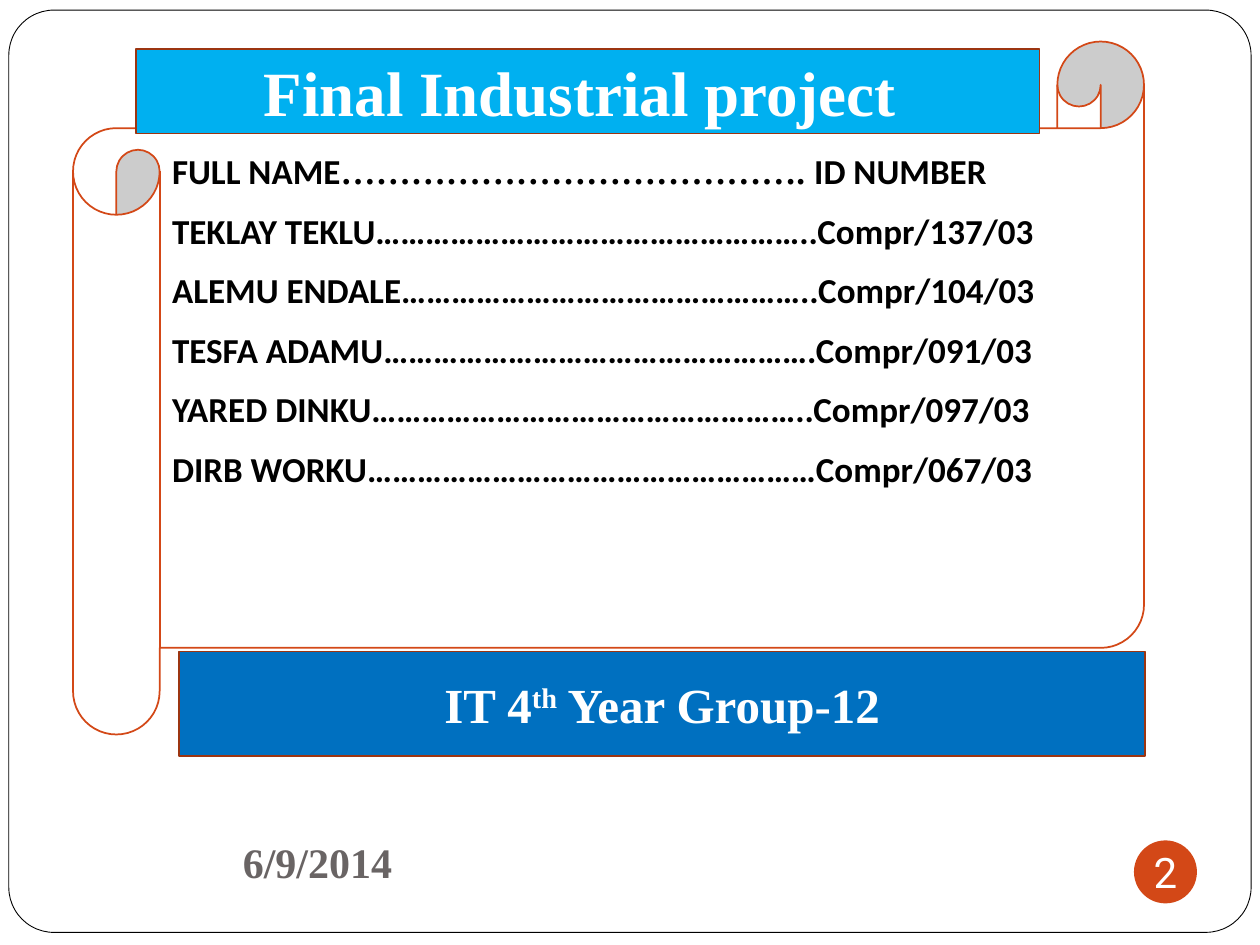
from pptx import Presentation
from pptx.dml.color import RGBColor
from pptx.enum.shapes import MSO_SHAPE
from pptx.enum.text import MSO_ANCHOR, PP_ALIGN
from pptx.util import Inches, Pt

WHITE = RGBColor(0xFF, 0xFF, 0xFF)
BLACK = RGBColor(0, 0, 0)
ORANGE = RGBColor(0xD3, 0x48, 0x17)
RUST = RGBColor(0x9C, 0x35, 0x11)
SKY = RGBColor(0x00, 0xB0, 0xF0)
BLUE = RGBColor(0x00, 0x70, 0xC0)
GREY = RGBColor(0x69, 0x64, 0x64)

SERIF = "Times New Roman"
NAME_FONT = {"name": "Calibri", "size": Pt(20), "bold": True}
BANNER_FONT = {"name": SERIF, "bold": True}
DATE_FONT = {"name": SERIF, "size": Pt(24), "bold": True}
NUMBER_FONT = {"name": "Roboto", "size": Pt(24)}

MEMBERS = [
    "TEKLAY TEKLU……………………………………………..Compr/137/03",
    "ALEMU ENDALE…………………………………………..Compr/104/03",
    "TESFA ADAMU…………………………………………….Compr/091/03",
    "YARED DINKU……………………………………………..Compr/097/03",
    "DIRB WORKU………………………………………………Compr/067/03",
]


def add_run(p, text, color, fmt):
    r = p.add_run()
    r.text = text
    for key, value in fmt.items():
        setattr(r.font, key, value)
    r.font.color.rgb = color
    return r


def add_box(s, kind, box, fill, line=None, width=1, adj=None):
    sp = s.shapes.add_shape(kind, *map(Inches, box))
    sp.shadow.inherit = False
    sp.fill.solid()
    sp.fill.fore_color.rgb = fill
    if line is None:
        sp.line.fill.background()
    else:
        sp.line.color.rgb = line
        sp.line.width = Pt(width)
    if adj is not None:
        sp.adjustments[0] = adj
    return sp


def format_frame(sp, **fmt):
    tf = sp.text_frame
    settings = {"word_wrap": True, "vertical_anchor": MSO_ANCHOR.MIDDLE}
    for key, value in (settings | fmt).items():
        setattr(tf, key, value)
    return tf


def add_frame(s, box):
    add_box(s, MSO_SHAPE.ROUNDED_RECTANGLE, box, WHITE, BLACK, 0.5, 0.049)


def add_scroll(s, box):
    sp = add_box(s, MSO_SHAPE.HORIZONTAL_SCROLL, box, WHITE, ORANGE, adj=0.125)
    tf = format_frame(sp, vertical_anchor=MSO_ANCHOR.TOP, margin_top=Inches(0.17))
    rows = [["FULL NAME", "…………………………………. ", "ID NUMBER"]]
    rows += [[member] for member in MEMBERS]
    for i, parts in enumerate(rows):
        p = tf.paragraphs[0] if i == 0 else tf.add_paragraph()
        p.alignment = PP_ALIGN.LEFT
        p.space_after = Pt(10)
        for j, part in enumerate(parts):
            name = SERIF if j == 1 else "Calibri"
            add_run(p, part, BLACK, NAME_FONT | {"name": name})


def add_banner(s, box, fill, size, parts):
    sp = add_box(s, MSO_SHAPE.FLOWCHART_PROCESS, box, fill, RUST)
    p = format_frame(sp).paragraphs[0]
    p.alignment = PP_ALIGN.CENTER
    for text, baseline in parts:
        r = add_run(p, text, WHITE, BANNER_FONT | {"size": Pt(size)})
        if baseline:
            r.font._element.set("baseline", str(baseline * 1000))


def add_date(s, box):
    sp = s.shapes.add_textbox(*map(Inches, box))
    p = format_frame(sp).paragraphs[0]
    p.alignment = PP_ALIGN.RIGHT
    add_run(p, "6/9/2014", GREY, DATE_FONT)


def add_page_number(s, box):
    sp = add_box(s, MSO_SHAPE.OVAL, box, ORANGE)
    margins = {f"margin_{side}": 0 for side in ("left", "top", "right", "bottom")}
    p = format_frame(sp, word_wrap=False, **margins).paragraphs[0]
    p.alignment = PP_ALIGN.CENTER
    add_run(p, "2", WHITE, NUMBER_FONT)


def main():
    prs = Presentation()
    prs.slide_width, prs.slide_height = Inches(10), Inches(7.5)
    s = prs.slides.add_slide(prs.slide_layouts[6])
    add_frame(s, (0.07, 0.08, 9.86, 7.32))
    add_scroll(s, (0.58, 0.33, 8.5, 5.5))
    add_date(s, (0.5, 6.58, 2.71, 0.52))
    add_page_number(s, (9, 6.67, 0.5, 0.5))
    add_banner(s, (1.08, 0.39, 7.17, 0.67), SKY, 36,
               [("Final Industrial project ", 0)])
    add_banner(s, (1.42, 5.17, 7.67, 0.83), BLUE, 28,
               [("IT 4", 0), ("th", 30), (" Year Group-12", 0)])
    prs.save("out.pptx")


if __name__ == "__main__":
    main()
